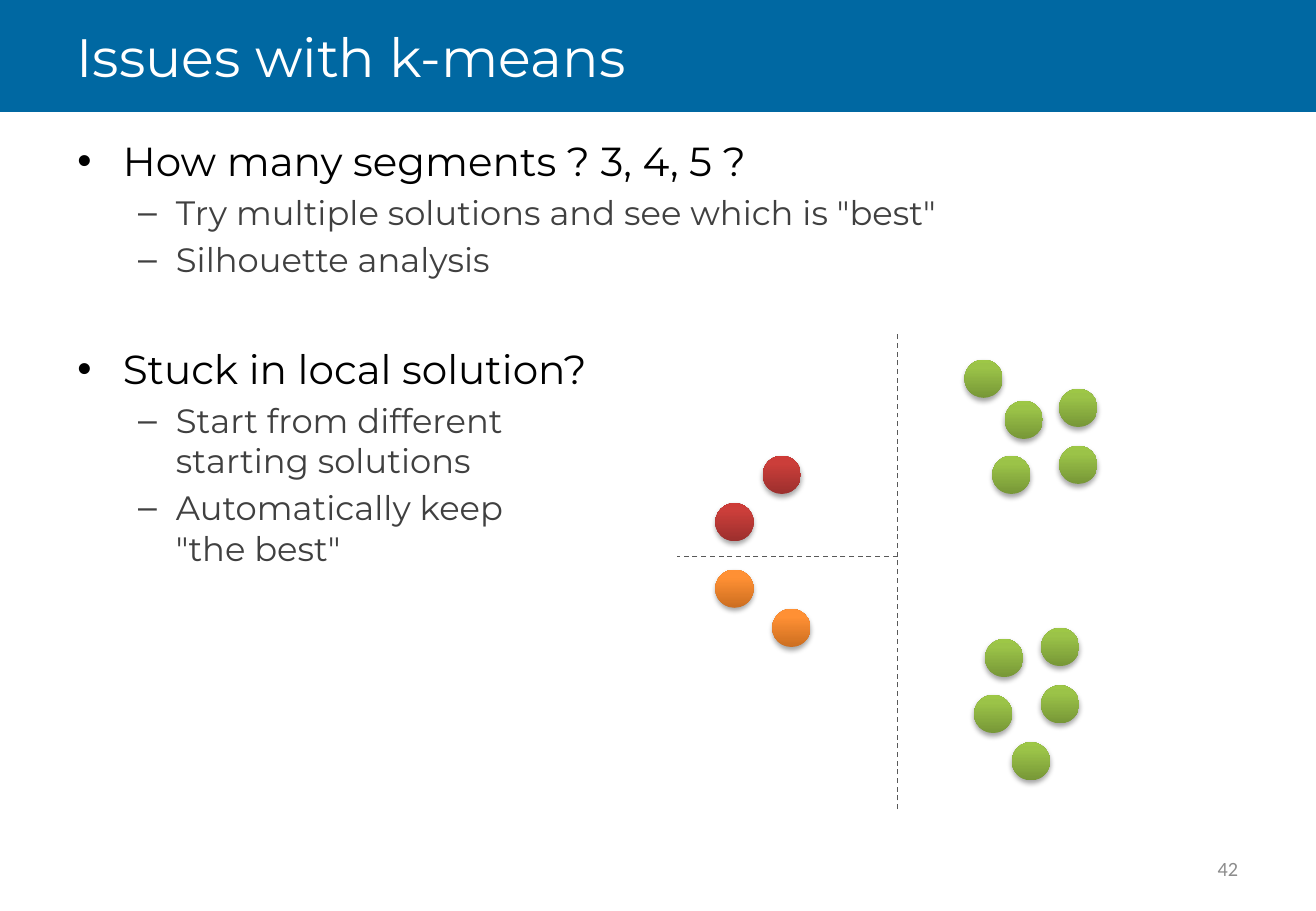
import pptx
import pptx.dml.color
import pptx.enum.dml
import pptx.enum.shapes
import pptx.enum.text
import pptx.oxml
import pptx.oxml.ns
import pptx.util
from pptx.util import Cm, Pt

# Content
TITLE = "Issues with k-means"
PAGE_NUMBER = "42"
# (level, text, space before in points)
ISSUES = [
    (0, "How many segments ? 3, 4, 5 ?", 4.8),
    (1, 'Try multiple solutions and see which is "best"', 4),
    (1, "Silhouette analysis", 4),
    (0, "Stuck in local solution?", 38.5),
    (1, "Start from different\nstarting solutions", 4),
    (1, 'Automatically keep\n"the best"', 4),
]
# Left and top of each point, in cm
CLUSTERS = {
    "red": [(15.95, 9.53), (14.96, 10.52)],
    "orange": [(14.96, 11.91), (16.15, 12.73)],
    "green": [
        (20.17, 7.52), (22.15, 9.32), (21.01, 8.38), (20.75, 9.53), (22.15, 8.13),
        (21.16, 15.52), (21.77, 14.33), (20.6, 13.36), (20.37, 14.53), (21.77, 13.13),
    ],
}
# Start and end of each cluster boundary, in cm
BOUNDARIES = [(18.77, 16.92, 18.77, 6.93), (18.77, 11.63, 14.15, 11.63)]

# Style
COLORS = {
    "banner": "0068A2", "title": "FFFFFF", "issue": "000000",
    "remedy": "404040", "page": "8C8C8C", "boundary": "595959",
}
GRADIENTS = {  # from bottom to top
    "red": ("9C2F2D", "CB3E3A", "CE3B37"),
    "orange": ("CC6E20", "FF9034", "FF9136"),
    "green": ("779737", "9BC348", "9DC746"),
}
GRADIENT_STOPS = (0, 80, 100)
LEVELS = [  # size, colour, bullet, left margin and hanging indent in cm
    (24, "issue", "•", 0.95, 0.95),
    (20, "remedy", "–", 2.06, 0.79),
]
FONT = "Montserrat"
WIDTH, HEIGHT, BANNER_HEIGHT, POINT_SIZE = 27.52, 19.05, 2.34, 0.8
NS = pptx.oxml.ns.nsdecls("a")


def rgb(name):
    return pptx.dml.color.RGBColor.from_string(COLORS[name])


def format_runs(paragraph, size, color, font=FONT):
    for run in paragraph.runs:
        run.font.name = font
        run.font.size = Pt(size)
        run.font.color.rgb = rgb(color)


def add_text_frame(left, top, width, height, middle=True):
    frame = slide.shapes.add_textbox(Cm(left), Cm(top), Cm(width), Cm(height)).text_frame
    frame.word_wrap = True
    anchors = pptx.enum.text.MSO_ANCHOR
    frame.vertical_anchor = anchors.MIDDLE if middle else anchors.TOP
    return frame


def set_bullet(paragraph, char, margin, hanging):
    properties = paragraph._p.get_or_add_pPr()
    properties.set("marL", str(Cm(margin)))
    properties.set("indent", str(-Cm(hanging)))
    properties.append(pptx.oxml.parse_xml(f'<a:buFont {NS} typeface="Arial"/>'))
    properties.append(pptx.oxml.parse_xml(f'<a:buChar {NS} char="{char}"/>'))


def add_point(left, top, colors):
    point = slide.shapes.add_shape(
        pptx.enum.shapes.MSO_SHAPE.OVAL, Cm(left), Cm(top), Cm(POINT_SIZE), Cm(POINT_SIZE))
    point.line.fill.background()
    point.shadow.inherit = False
    stops = "".join(
        f'<a:gs pos="{stop * 1000}"><a:srgbClr val="{color}"/></a:gs>'
        for stop, color in zip(GRADIENT_STOPS, colors))
    properties = point._element.spPr
    properties.find(pptx.oxml.ns.qn("a:prstGeom")).addnext(pptx.oxml.parse_xml(
        f'<a:gradFill {NS} rotWithShape="1"><a:gsLst>{stops}</a:gsLst>'
        '<a:lin ang="16200000" scaled="0"/></a:gradFill>'))
    properties.find(pptx.oxml.ns.qn("a:effectLst")).append(pptx.oxml.parse_xml(
        f'<a:outerShdw {NS} blurRad="{Pt(3.1)}" dist="{Pt(1.8)}" dir="5400000" '
        'rotWithShape="0"><a:srgbClr val="000000"><a:alpha val="35000"/></a:srgbClr>'
        '</a:outerShdw>'))


presentation = pptx.Presentation()
presentation.slide_width, presentation.slide_height = Cm(WIDTH), Cm(HEIGHT)
slide = presentation.slides.add_slide(presentation.slide_layouts[6])

# Banner and title
banner = slide.shapes.add_shape(
    pptx.enum.shapes.MSO_SHAPE.RECTANGLE, 0, 0, Cm(WIDTH), Cm(BANNER_HEIGHT))
banner.shadow.inherit = False
banner.fill.solid()
banner.fill.fore_color.rgb = rgb("banner")
banner.line.fill.background()
title = add_text_frame(1.35, 0, 24.77, BANNER_HEIGHT)
title.text = TITLE
format_runs(title.paragraphs[0], 32, "title")

# Issues and remedies
issues = add_text_frame(1.37, 2.72, 24.77, 14.3, middle=False)
for index, (level, text, space) in enumerate(ISSUES):
    issue = issues.add_paragraph() if index else issues.paragraphs[0]
    size, color, bullet, margin, hanging = LEVELS[level]
    issue.text = text
    issue.level = level
    issue.space_before = Pt(space)
    format_runs(issue, size, color)
    set_bullet(issue, bullet, margin, hanging)

# Page number
page = add_text_frame(19.71, 17.65, 6.43, 1.02)
page.text = PAGE_NUMBER
page.paragraphs[0].alignment = pptx.enum.text.PP_ALIGN.RIGHT
format_runs(page.paragraphs[0], 12, "page", "Calibri")

# Clustered points
for cluster, points in CLUSTERS.items():
    for left, top in points:
        add_point(left, top, GRADIENTS[cluster])

# Cluster boundaries
for ends in BOUNDARIES:
    boundary = slide.shapes.add_connector(
        pptx.enum.shapes.MSO_CONNECTOR.STRAIGHT, *map(Cm, ends))
    boundary.line.color.rgb = rgb("boundary")
    boundary.line.width = Pt(0.75)
    boundary.line.dash_style = pptx.enum.dml.MSO_LINE.DASH
    boundary._element.spPr.append(pptx.oxml.parse_xml(f"<a:effectLst {NS}/>"))

presentation.save("out.pptx")
